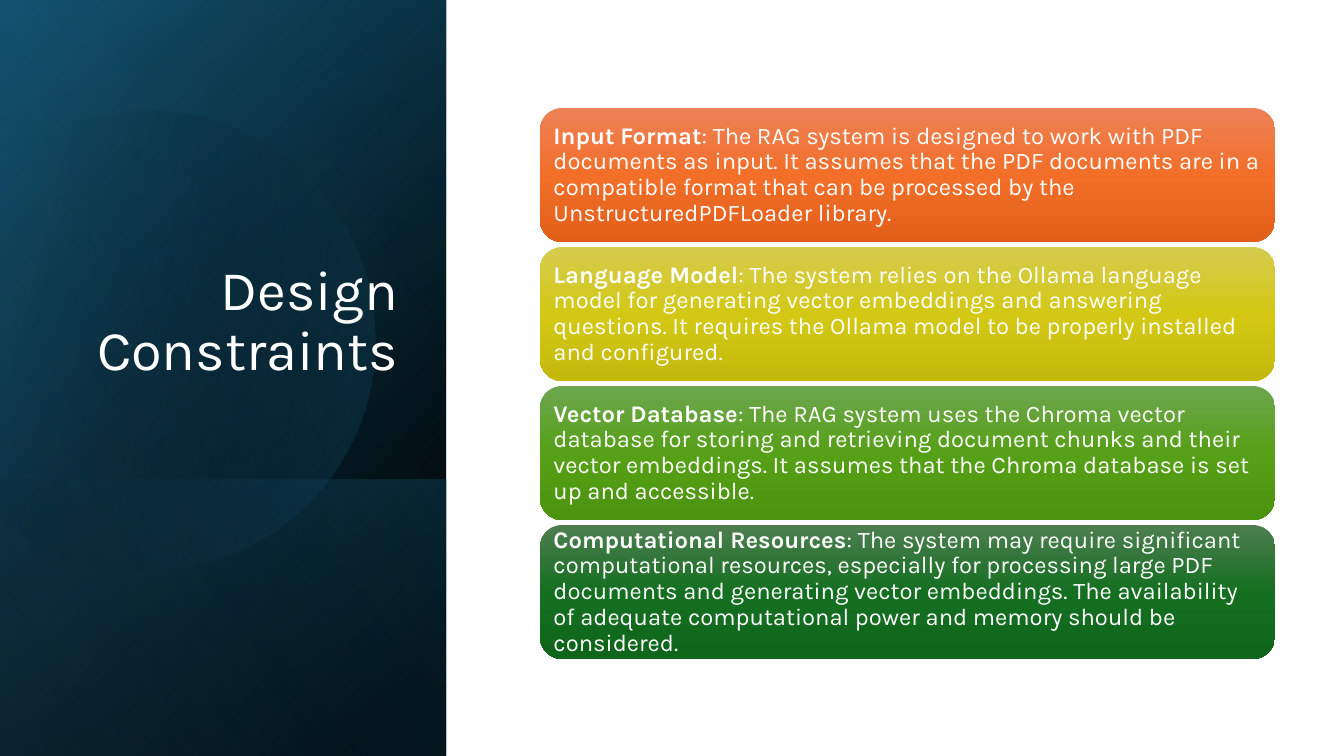
import dataclasses
import math

import lxml.etree
import pptx
import pptx.dml.color
import pptx.enum.shapes
import pptx.enum.text
import pptx.oxml.ns
import pptx.shapes.autoshape
import pptx.util

RGB = pptx.dml.color.RGBColor
SHAPES = pptx.enum.shapes.MSO_SHAPE
ALIGN = pptx.enum.text.PP_ALIGN
ANCHOR = pptx.enum.text.MSO_ANCHOR
AutoShape = pptx.shapes.autoshape.Shape

EMU_PER_PX = 914400 / 100.8
FONT = "Karla"
WHITE = RGB(0xFF, 0xFF, 0xFF)
BLACK = RGB(0x00, 0x00, 0x00)
TEAL = RGB(0x15, 0x60, 0x82)
DEEP_TEAL = RGB(0x10, 0x48, 0x62)
SKY = RGB(0x46, 0xB1, 0xE1)

Point = tuple[float, float]


@dataclasses.dataclass(frozen=True)
class Stop:
    position: int
    color: RGB
    opacity: int = 100


@dataclasses.dataclass(frozen=True)
class Panel:
    """A turned rectangle; top and height are as it shows on the slide."""
    top: int
    height: int
    angle: int
    stops: tuple[Stop, ...]


@dataclasses.dataclass(frozen=True)
class Constraint:
    name: str
    detail: str
    colors: tuple[RGB, RGB, RGB]


PANEL_WIDTH = 446
BASE_PANELS = (
    Panel(0, 756, 50, (Stop(8, BLACK), Stop(100, DEEP_TEAL))),
    Panel(0, 756, 30, (Stop(0, BLACK, 0), Stop(99, TEAL, 46))),
    Panel(480, 276, 130, (Stop(2, TEAL, 29), Stop(100, BLACK, 30))),
)
TOP_PANEL = Panel(0, 756, 120, (Stop(0, BLACK, 0), Stop(99, SKY, 11)))

DISC_CENTER = (160, 337)
DISC_ROTATION = -16.1
DISC_STOPS = (Stop(29, BLACK, 0), Stop(100, TEAL, 43))
DISC_START = (150, 111)
DISC_RIGHT_CURVES = (
    ((248, 113), (338, 178), (366, 277)),
    ((401, 400), (331, 527), (209, 562)),
    ((132, 585), (53, 565), (-3, 518)),
)
DISC_LEFT_EDGE = ((-15, 507), (-15, 176), (0, 162))
DISC_TOP_CURVES = (
    ((23, 143), (50, 129), (81, 120)),
    ((104, 114), (127, 111), DISC_START),
)

CARD_LEFT, CARD_TOP, CARD_WIDTH, CARD_HEIGHT, CARD_PITCH = 540, 108, 735, 134, 139
CONSTRAINTS = (
    Constraint(
        "Input Format",
        ": The RAG system is designed to work with PDF documents as input. It assumes that "
        "the PDF documents are in a compatible format that can be processed by the "
        "UnstructuredPDFLoader library.",
        (RGB(0xED, 0x82, 0x57), RGB(0xF2, 0x6E, 0x29), RGB(0xE2, 0x5F, 0x1A))),
    Constraint(
        "Language Model",
        ": The system relies on the Ollama language model for generating vector embeddings "
        "and answering questions. It requires the Ollama model to be properly installed and "
        "configured.",
        (RGB(0xD5, 0xCB, 0x4E), RGB(0xD4, 0xC8, 0x15), RGB(0xC4, 0xB9, 0x0B))),
    Constraint(
        "Vector Database",
        ": The RAG system uses the Chroma vector database for storing and retrieving document "
        "chunks and their vector embeddings. It assumes that the Chroma database is set up "
        "and accessible.",
        (RGB(0x6D, 0xA6, 0x4E), RGB(0x56, 0xA0, 0x17), RGB(0x4C, 0x93, 0x0F))),
    Constraint(
        "Computational Resources",
        ": The system may require significant computational resources, especially for "
        "processing large PDF documents and generating vector embeddings. The availability "
        "of adequate computational power and memory should be considered.",
        (RGB(0x4D, 0x7E, 0x50), RGB(0x15, 0x6F, 0x21), RGB(0x0F, 0x66, 0x1B))),
)


def px(length: float) -> pptx.util.Emu:
    return pptx.util.Emu(round(length * EMU_PER_PX))


def paint(shape: AutoShape, stops: tuple[Stop, ...], angle: int) -> None:
    """Fill with a gradient at a clockwise angle, without line or shadow."""
    qn = pptx.oxml.ns.qn
    shape.shadow.inherit = False
    shape.line.fill.background()
    shape.fill.gradient()
    shape.fill.gradient_angle = 360 - angle
    stop_list = shape.element.spPr.find(qn("a:gradFill")).find(qn("a:gsLst"))
    for old_stop in list(stop_list):
        stop_list.remove(old_stop)
    for stop in stops:
        entry = lxml.etree.SubElement(stop_list, qn("a:gs"), pos=str(stop.position * 1000))
        color = lxml.etree.SubElement(entry, qn("a:srgbClr"), val=str(stop.color))
        if stop.opacity < 100:
            lxml.etree.SubElement(color, qn("a:alpha"), val=str(stop.opacity * 1000))


def write(shape: AutoShape, *runs: tuple[str, bool], size: int, align: ALIGN,
          anchor: ANCHOR, insets: tuple[int, int, int, int]) -> None:
    """Set one paragraph of (text, bold) runs; insets are left, top, right, bottom."""
    frame = shape.text_frame
    frame.word_wrap = True
    frame.vertical_anchor = anchor
    (frame.margin_left, frame.margin_top,
     frame.margin_right, frame.margin_bottom) = map(px, insets)
    paragraph = frame.paragraphs[0]
    paragraph.alignment = align
    paragraph.line_spacing = 0.9
    for text, bold in runs:
        run = paragraph.add_run()
        run.text = text
        run.font.name = FONT
        run.font.size = pptx.util.Pt(size)
        run.font.bold = bold
        run.font.color.rgb = WHITE


def add_panel(slide: pptx.slide.Slide, panel: Panel) -> None:
    shift = (PANEL_WIDTH - panel.height) / 2
    shape = slide.shapes.add_shape(SHAPES.RECTANGLE, px(shift), px(panel.top - shift),
                                   px(panel.height), px(PANEL_WIDTH))
    shape.rotation = 90
    shape.element.spPr.xfrm.set("flipH", "1")
    paint(shape, panel.stops, panel.angle)


def curve_points(start: Point, curves: tuple[tuple[Point, ...], ...],
                 steps: int = 24) -> list[Point]:
    """Sample a chain of cubic curves, leaving out its start."""
    points = []
    for first, second, end in curves:
        for step in range(1, steps + 1):
            t = step / steps
            weights = ((1 - t) ** 3, 3 * t * (1 - t) ** 2, 3 * t * t * (1 - t), t ** 3)
            corners = (start, first, second, end)
            points.append((sum(w * c[0] for w, c in zip(weights, corners)),
                           sum(w * c[1] for w, c in zip(weights, corners))))
        start = end
    return points


def turn_back(point: Point) -> Point:
    """Undo the disc's rotation, which is applied to the finished shape."""
    turn = math.radians(-DISC_ROTATION)
    x, y = point[0] - DISC_CENTER[0], point[1] - DISC_CENTER[1]
    return (px(DISC_CENTER[0] + x * math.cos(turn) - y * math.sin(turn)),
            px(DISC_CENTER[1] + x * math.sin(turn) + y * math.cos(turn)))


def add_disc(slide: pptx.slide.Slide) -> None:
    outline = [DISC_START, *curve_points(DISC_START, DISC_RIGHT_CURVES), *DISC_LEFT_EDGE,
               *curve_points(DISC_LEFT_EDGE[-1], DISC_TOP_CURVES)]
    start, *rest = map(turn_back, outline)
    builder = slide.shapes.build_freeform(*start)
    builder.add_line_segments(rest, close=True)
    disc = builder.convert_to_shape()
    disc.rotation = DISC_ROTATION
    paint(disc, DISC_STOPS, 30)


def add_card(slide: pptx.slide.Slide, constraint: Constraint, top: int) -> None:
    card = slide.shapes.add_shape(SHAPES.ROUNDED_RECTANGLE, px(CARD_LEFT), px(top),
                                  px(CARD_WIDTH), px(CARD_HEIGHT))
    paint(card, tuple(map(Stop, (0, 50, 100), constraint.colors)), 90)
    write(card, (constraint.name, True), (constraint.detail, False), size=17,
          align=ALIGN.LEFT, anchor=ANCHOR.MIDDLE, insets=(7, 7, 7, 7))


def main() -> None:
    deck = pptx.Presentation()
    deck.slide_width, deck.slide_height = px(1344), px(756)
    slide = deck.slides.add_slide(deck.slide_layouts[6])
    for panel in BASE_PANELS:
        add_panel(slide, panel)
    add_disc(slide)
    add_panel(slide, TOP_PANEL)
    title = slide.shapes.add_textbox(px(64), px(185), px(344), px(264))
    write(title, ("Design Constraints", False), size=40, align=ALIGN.RIGHT,
          anchor=ANCHOR.BOTTOM, insets=(10, 5, 10, 66))
    for row, constraint in enumerate(CONSTRAINTS):
        add_card(slide, constraint, CARD_TOP + row * CARD_PITCH)
    deck.save("out.pptx")


if __name__ == "__main__":
    main()
